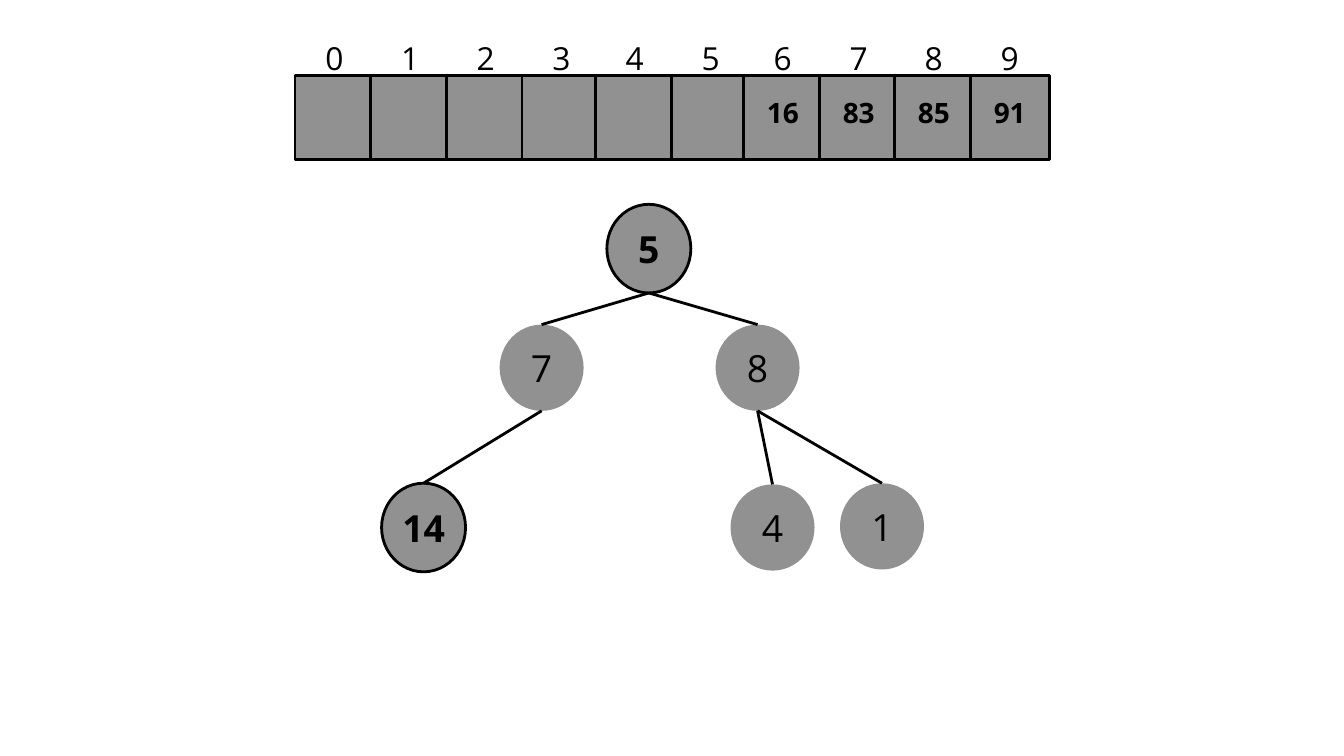
from pptx import Presentation
from pptx.dml.color import RGBColor as RGB
from pptx.enum.shapes import MSO_CONNECTOR as CONN, MSO_SHAPE as SHAPE
from pptx.enum.text import MSO_ANCHOR as ANCHOR, PP_ALIGN as ALIGN
from pptx.oxml.ns import qn
from pptx.util import Pt
from lxml import etree

THEME = {
    "font": "Open Sans",
    "fill": RGB(0x91, 0x91, 0x91),
    "ink": RGB(0, 0, 0),
    "line": 3,
    "cell": 30,
    "index": 34,
    "node": 40,
    "leading": 1.4,
}

prs = Presentation()
prs.slide_width, prs.slide_height = Pt(1440), Pt(810)
s = prs.slides.add_slide(prs.slide_layouts[6])


def write(sp, text, size, bold=False, lift=0, anchor=ANCHOR.MIDDLE):
    """Centre one line of text in sp, raised by lift points."""
    tf = sp.text_frame
    frame = {"margin_left": 0, "margin_right": 0, "margin_top": 0,
             "margin_bottom": Pt(2 * lift), "vertical_anchor": anchor,
             "word_wrap": True}
    for name, value in frame.items():
        setattr(tf, name, value)
    p = tf.paragraphs[0]
    p.alignment = ALIGN.CENTER
    p.line_spacing = Pt(size * THEME["leading"])
    r = p.add_run()
    r.text = text
    for name, value in {"name": THEME["font"], "size": Pt(size), "bold": bold}.items():
        setattr(r.font, name, value)
    r.font.color.rgb = THEME["ink"]


def add_box(kind, left, top, width, height, outlined):
    """Add a grey shape, with or without a black outline."""
    sp = s.shapes.add_shape(kind, Pt(left), Pt(top), Pt(width), Pt(height))
    sp.shadow.inherit = False
    sp.fill.solid()
    sp.fill.fore_color.rgb = THEME["fill"]
    if outlined:
        sp.line.color.rgb = THEME["ink"]
        sp.line.width = Pt(THEME["line"])
    else:
        sp.line.fill.background()
    return sp


# Array cells with their indices
CELL_TOP, CELL_W, CELL_H = 80.6, 84.4, 90
INDEX_TOP, INDEX_W, INDEX_H = 35.3, 19.4, 45.4
cell_lefts = [316.1, 397.4, 478.1, 559.4, 637.9, 719.3, 796.5, 877.9, 958.3, 1039.7]
values = [""] * 6 + ["16", "83", "85", "91"]

for i, (left, value) in enumerate(zip(cell_lefts, values)):
    sp = add_box(SHAPE.RECTANGLE, left, CELL_TOP, CELL_W, CELL_H, True)
    if value:
        write(sp, value, THEME["cell"], bold=True, lift=8)
    index_left = left + (CELL_W - INDEX_W) / 2
    tb = s.shapes.add_textbox(Pt(index_left), Pt(INDEX_TOP), Pt(INDEX_W), Pt(INDEX_H))
    write(tb, str(i), THEME["index"], anchor=ANCHOR.TOP)

# Tree nodes: value -> centre x, centre y, highlighted
NODE_W, NODE_H, MARKED_H = 90, 92.4, 95
nodes = {
    "5": (695.2, 266.4, True),
    "7": (580.3, 394, False),
    "8": (811.7, 394, False),
    "14": (453.8, 565.2, True),
    "4": (827.7, 565.2, False),
    "1": (945, 564, False),
}
tops, bottoms = {}, {}
for value, (x, y, marked) in nodes.items():
    height = MARKED_H if marked else NODE_H
    tops[value], bottoms[value] = (x, y - height / 2), (x, y + height / 2)
    sp = add_box(SHAPE.OVAL, x - NODE_W / 2, y - height / 2, NODE_W, height, marked)
    write(sp, value, THEME["node"], bold=marked, lift=4)

# Tree edges, from the parent's bottom to the child's top
for parent, child in [("5", "7"), ("7", "14"), ("5", "8"), ("8", "4"), ("8", "1")]:
    ends = [Pt(v) for v in bottoms[parent] + tops[child]]
    edge = s.shapes.add_connector(CONN.STRAIGHT, *ends)
    edge.line.color.rgb = THEME["ink"]
    edge.line.width = Pt(THEME["line"])
    etree.SubElement(edge._element.spPr, qn("a:effectLst"))

prs.save("out.pptx")
